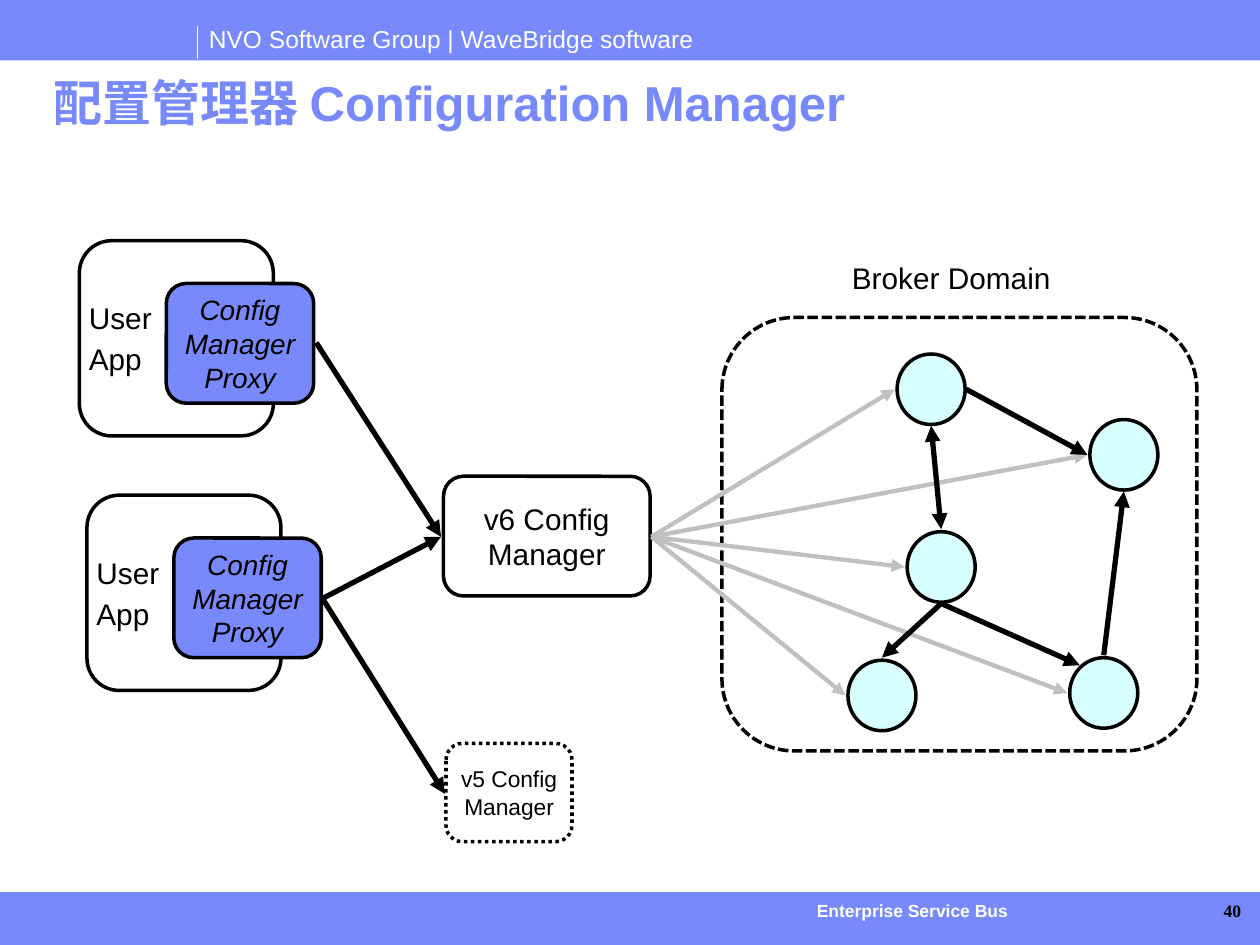
"""Build the Configuration Manager slide."""
import pptx
import pptx.dml.color
import pptx.enum.dml
import pptx.enum.shapes
import pptx.enum.text
import pptx.oxml
import pptx.util
from pptx.util import Inches

SHAPE = pptx.enum.shapes.MSO_SHAPE
ALIGN = pptx.enum.text.PP_ALIGN
ANCHOR = pptx.enum.text.MSO_ANCHOR
DASH = pptx.enum.dml.MSO_LINE
COLORS = {"blue": "7889FB", "white": "FFFFFF", "black": "000000",
          "gray": "C0C0C0", "node": "D8FFFF"}
NODE_W, NODE_H = 0.54, 0.56
NODES = {"top": (7.12, 2.81), "right": (8.65, 3.33), "middle": (7.2, 4.22),
         "lower_right": (8.49, 5.22), "lower_left": (6.73, 5.24)}


def rgb(name):
    return pptx.dml.color.RGBColor.from_string(COLORS[name])


def write(tf, lines, size, color="black", align=ALIGN.LEFT, font="Arial",
          bold=False, italic=False, after=0):
    """Fill a text frame with one paragraph per line."""
    for i, line in enumerate(lines):
        p = tf.paragraphs[0] if i == 0 else tf.add_paragraph()
        p.text = line
        p.alignment = align
        p.space_after = pptx.util.Pt(after)
        p.font.name = font
        p.font.size = pptx.util.Pt(size)
        p.font.bold = bold
        p.font.italic = italic
        p.font.color.rgb = rgb(color)


def set_margins(tf, x, y):
    tf.margin_left = tf.margin_right = Inches(x)
    tf.margin_top = tf.margin_bottom = Inches(y)


def add_text(s, box, text, size, margins=(0, 0), **style):
    sp = s.shapes.add_textbox(*map(Inches, box))
    tf = sp.text_frame
    tf.word_wrap = True
    set_margins(tf, *margins)
    write(tf, [text], size, **style)
    return tf.paragraphs[0]


def add_shape(s, kind, box, fill=None, line="black", dash=None):
    sp = s.shapes.add_shape(kind, *map(Inches, box))
    sp.shadow.inherit = False
    if fill:
        sp.fill.solid()
        sp.fill.fore_color.rgb = rgb(fill)
    else:
        sp.fill.background()
    if line:
        sp.line.color.rgb = rgb(line)
        sp.line.width = pptx.util.Pt(2)
        if dash:
            sp.line.dash_style = dash
    else:
        sp.line.fill.background()
    return sp


def add_box(s, box, lines=(), size=17, fill=None, dash=None,
            align=ALIGN.CENTER, italic=False):
    """Add a rounded box with its label."""
    sp = add_shape(s, SHAPE.ROUNDED_RECTANGLE, box, fill, dash=dash)
    sp.adjustments[0] = 0.167
    tf = sp.text_frame
    tf.word_wrap = True
    tf.vertical_anchor = ANCHOR.MIDDLE
    set_margins(tf, 0, 0)
    write(tf, lines, size, align=align, italic=italic, after=3)


def add_line(s, start, end, color="black", width=3.0, ends=("tailEnd",)):
    c = s.shapes.add_connector(pptx.enum.shapes.MSO_CONNECTOR.STRAIGHT,
                               *map(Inches, (*start, *end)))
    c.line.color.rgb = rgb(color)
    c.line.width = pptx.util.Pt(width)
    ln = c.line._get_or_add_ln()
    ns = 'xmlns:a="http://schemas.openxmlformats.org/drawingml/2006/main"'
    for tag in ends:
        ln.append(pptx.oxml.parse_xml(f'<a:{tag} {ns} type="triangle"/>'))
    c._element.spPr.append(pptx.oxml.parse_xml(f"<a:effectLst {ns}/>"))


def add_user_app(s, x, y):
    """Add a user application with its proxy overlapping the right edge."""
    add_box(s, (x, y, 1.54, 1.55), ["User", "App"], align=ALIGN.LEFT)
    add_box(s, (x + 0.69, y + 0.34, 1.17, 0.95), ["Config Manager Proxy"],
            size=16, fill="blue", italic=True)


def node_point(name, side):
    """Return the point just outside one side of a broker node."""
    x, y = NODES[name]
    dx, dy = {"left": (-0.02, NODE_H / 2), "right": (NODE_W + 0.01, NODE_H / 2),
              "top": (NODE_W / 2, -0.02), "bottom": (NODE_W / 2, NODE_H + 0.01),
              "corner": (0.08, 0.06)}[side]
    return x + dx, y + dy


def add_frame(s):
    """Add the header, title and footer."""
    add_shape(s, SHAPE.RECTANGLE, (0, 7.08, 10, 0.42), "blue", None)
    add_shape(s, SHAPE.RECTANGLE, (0, 0, 10, 0.48), "blue", None)
    add_text(s, (1.56, 0.14, 4.5, 0.34),
             "NVO Software Group | WaveBridge software", 14, (0.1, 0.05),
             color="white")
    add_line(s, (1.57, 0.21), (1.57, 0.47), "white", 0.75, ends=())
    add_text(s, (5.67, 7.14, 3.14, 0.17), "Enterprise Service Bus", 10,
             color="white", align=ALIGN.CENTER, bold=True)
    p = add_text(s, (0.33, 0.58, 9.42, 0.52), "配置管理器 Configuration Manager",
                 28, (0.1, 0.05), color="blue", bold=True)
    p.line_spacing = 0.9
    add_text(s, (9.11, 7.14, 0.74, 0.17), "40", 10, align=ALIGN.RIGHT,
             font="Times New Roman", bold=True)


def add_broker_domain(s):
    add_text(s, (6.63, 2.06, 1.84, 0.28), "Broker Domain", 17,
             align=ALIGN.CENTER)
    add_box(s, (5.73, 2.52, 3.77, 3.44), dash=DASH.SQUARE_DOT)
    for x, y in NODES.values():
        add_shape(s, SHAPE.OVAL, (x, y, NODE_W, NODE_H), "node")


def add_arrows(s):
    """Connect the proxies, managers and broker nodes."""
    for start, end in [((2.51, 2.72), (3.5, 4.26)),
                       ((2.56, 4.75), (3.5, 4.26)),
                       ((2.56, 4.75), (3.53, 6.3))]:
        add_line(s, start, end)
    for name in NODES:
        add_line(s, (5.17, 4.26), node_point(name, "left"), "gray", 2.5)
    add_line(s, node_point("top", "bottom"), node_point("middle", "top"),
             ends=("headEnd", "tailEnd"))
    for a, a_side, b, b_side in [
            ("top", "right", "right", "left"),
            ("lower_right", "top", "right", "bottom"),
            ("middle", "bottom", "lower_right", "corner"),
            ("middle", "bottom", "lower_left", "top")]:
        add_line(s, node_point(a, a_side), node_point(b, b_side))


def main():
    prs = pptx.Presentation()
    prs.slide_width, prs.slide_height = Inches(10), Inches(7.5)
    s = prs.slides.add_slide(prs.slide_layouts[6])
    add_frame(s)
    add_user_app(s, 0.63, 1.91)
    add_user_app(s, 0.69, 3.93)
    add_box(s, (3.52, 3.78, 1.64, 0.95), ["v6 Config Manager"], fill="white")
    add_box(s, (3.54, 5.9, 1, 0.78), ["v5 Config Manager"], size=13,
            dash=DASH.ROUND_DOT)
    add_broker_domain(s)
    add_arrows(s)
    prs.save("out.pptx")


if __name__ == "__main__":
    main()
